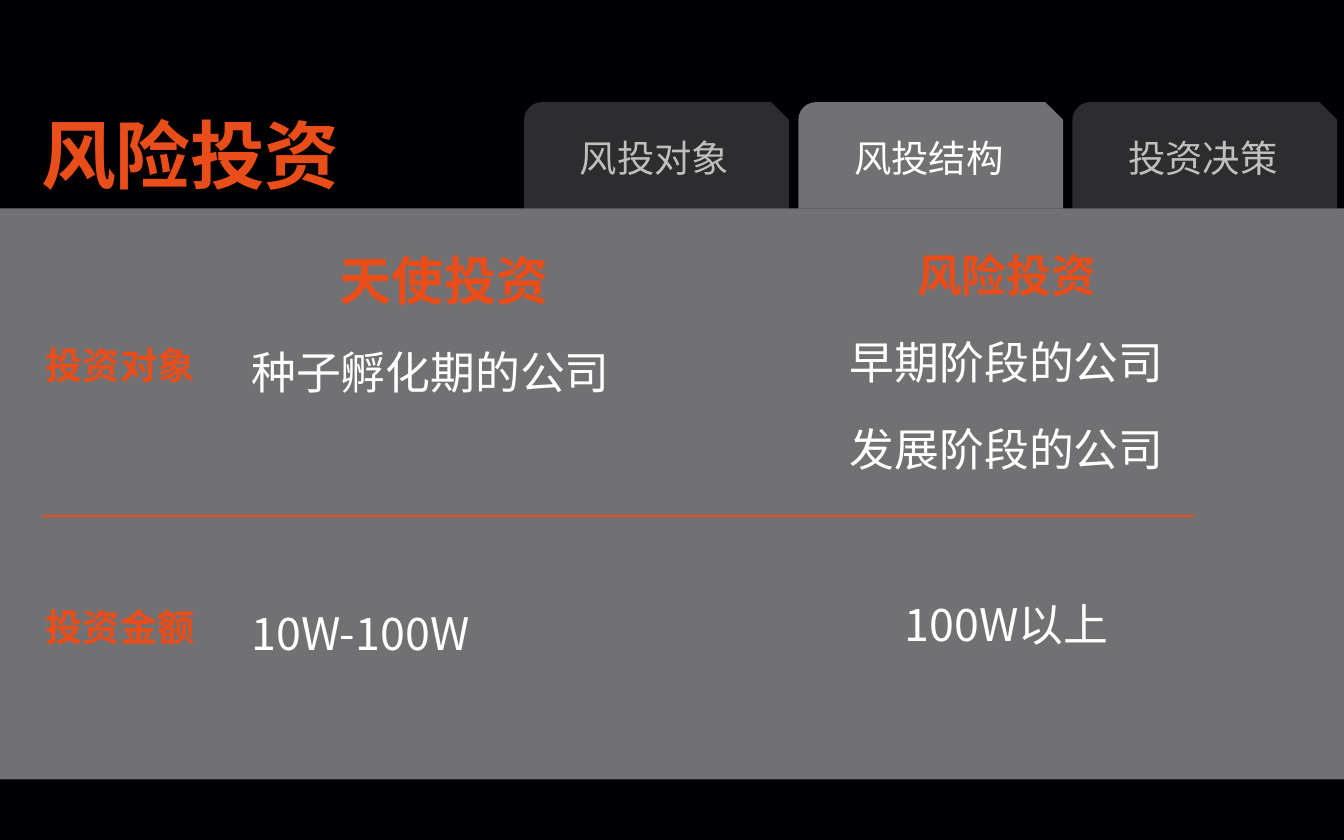
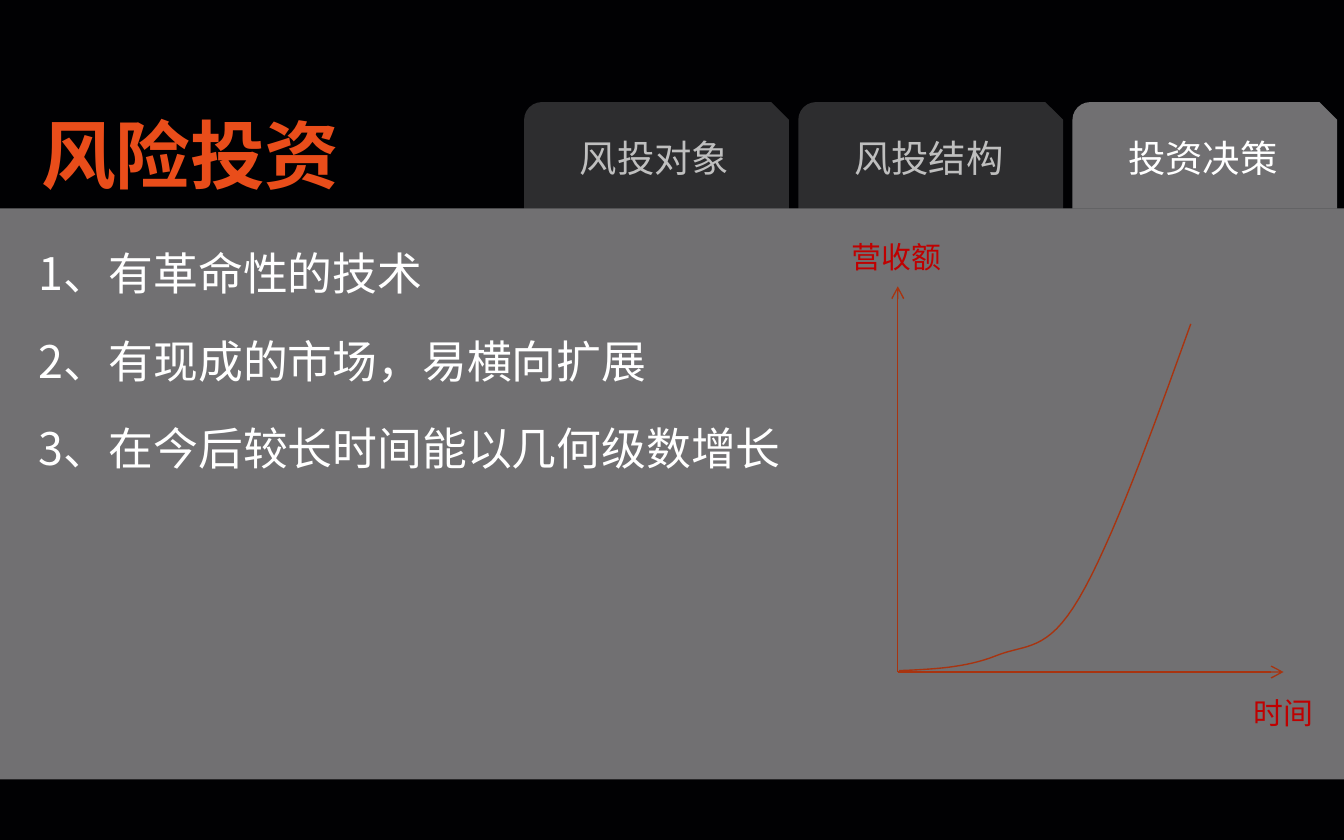
from dataclasses import dataclass

from lxml import etree
from pptx import Presentation
from pptx.dml.color import RGBColor
from pptx.enum.shapes import MSO_CONNECTOR, MSO_SHAPE
from pptx.enum.text import MSO_ANCHOR, MSO_AUTO_SIZE, PP_ALIGN
from pptx.oxml.ns import qn
from pptx.util import Inches, Pt

LEFT, CENTER = PP_ALIGN.LEFT, PP_ALIGN.CENTER
TOP, MIDDLE = MSO_ANCHOR.TOP, MSO_ANCHOR.MIDDLE
RECTANGLE, TAB = MSO_SHAPE.RECTANGLE, MSO_SHAPE.SNIP_ROUND_RECTANGLE
STRAIGHT = MSO_CONNECTOR.STRAIGHT
NO_AUTOFIT = MSO_AUTO_SIZE.NONE


@dataclass(frozen=True)
class Theme:
    font: str = "Noto Sans CJK SC"
    background: str = "010103"
    panel: str = "E1E0E2"
    accent: str = "E94D1A"
    text: str = "FFFFFF"
    muted: str = "BFBFBF"
    chart_line: str = "A83410"
    chart_label: str = "C00000"
    title_size: int = 40
    heading_size: int = 28
    body_size: int = 24
    label_size: int = 20
    axis_size: int = 16
    paragraph_gap: int = 18
    active_opacity: int = 50
    idle_opacity: int = 20


THEME = Theme()
WIDTH, HEIGHT = Inches(10), Inches(6.25)
UNIT = WIDTH // 10  # the grid is ten square columns wide

TITLE = "风险投资"
TABS = ("风投对象", "风投结构", "投资决策")
TAB_LEFT, TAB_STEP, TAB_WIDTH = 3.9, 2.04, 1.97
HEADER_TOP, HEADER_HEIGHT = 0.76, 0.79
BAND_TOP, BAND_HEIGHT = 1.55, 4.25
TWO_LISTS, TITLE_AND_LIST = 3, 1  # layout numbers in the template

ORIGIN = (6.68, 5)
AXIS_LENGTH = 2.87
CURVE_START = (6.69, 4.99)
CURVE_SEGMENTS = (
    ((6.94, 4.98), (7.18, 4.97), (7.41, 4.88)),
    ((7.63, 4.79), (7.79, 4.86), (8.03, 4.45)),
    ((8.27, 4.04), (8.57, 3.22), (8.86, 2.41)),
)


def grid(*values):
    return [round(value * UNIT) for value in values]


def rgb(color):
    return RGBColor.from_string(color)


def write(frame, text, size=THEME.body_size, color=THEME.text, bold=False,
          align=LEFT, before=0):
    """Fill the empty first paragraph, or append one, without a bullet."""
    paragraph = frame.paragraphs[0]
    if paragraph.runs:
        paragraph = frame.add_paragraph()
    properties = paragraph._p.get_or_add_pPr()
    properties.set("marL", "0")
    properties.set("indent", "0")
    etree.SubElement(properties, qn("a:buNone"))
    paragraph.alignment = align
    paragraph.space_before = Pt(before)
    run = paragraph.add_run()
    run.text = text
    font = run.font
    font.name, font.size, font.bold = THEME.font, Pt(size), bold
    font.color.rgb = rgb(color)
    east_asian = etree.SubElement(run._r.get_or_add_rPr(), qn("a:ea"))
    east_asian.set("typeface", THEME.font)


def place(placeholder, left, top, width, height):
    """Move a placeholder on the grid and return its prepared text frame."""
    placeholder.left, placeholder.top, placeholder.width, placeholder.height = grid(
        left, top, width, height)
    frame = placeholder.text_frame
    frame.auto_size, frame.word_wrap, frame.vertical_anchor = NO_AUTOFIT, True, TOP
    return frame


def add_panel(slide, kind, left, top, width, height, opacity):
    shape = slide.shapes.add_shape(kind, *grid(left, top, width, height))
    shape.shadow.inherit = False
    shape.line.fill.background()
    shape.fill.solid()
    shape.fill.fore_color.rgb = rgb(THEME.panel)
    color = shape._element.spPr.find(".//" + qn("a:srgbClr"))
    etree.SubElement(color, qn("a:alpha")).set("val", str(opacity * 1000))
    return shape


def add_label(slide, text, left, top, width, height, **text_format):
    box = slide.shapes.add_textbox(*grid(left, top, width, height))
    box.text_frame.word_wrap = False
    write(box.text_frame, text, **text_format)


def add_line(slide, start, end, color, weight, arrow=False):
    line = slide.shapes.add_connector(STRAIGHT, *grid(*start, *end))
    line.line.color.rgb = rgb(color)
    line.line.width = Pt(weight)
    if arrow:
        etree.SubElement(line.line._get_or_add_ln(), qn("a:tailEnd")).set("type", "arrow")
    etree.SubElement(line._element.spPr, qn("a:effectLst"))


def bezier_points(start, segments, steps=16):
    """Sample a chain of cubic curves, leaving out the start point."""
    points = []
    for first, second, end in segments:
        for step in range(1, steps + 1):
            t = step / steps
            u = 1 - t
            points.append(tuple(
                u**3 * a + 3 * u * u * t * b + 3 * u * t * t * c + t**3 * d
                for a, b, c, d in zip(start, first, second, end)))
        start = end
    return points


def add_growth_curve(slide):
    points = [grid(*point) for point in bezier_points(CURVE_START, CURVE_SEGMENTS)]
    builder = slide.shapes.build_freeform(*grid(*CURVE_START))
    builder.add_line_segments(points, close=False)
    curve = builder.convert_to_shape()
    curve.shadow.inherit = False
    curve.fill.background()
    curve.line.color.rgb = rgb(THEME.chart_line)
    curve.line.width = Pt(0.75)


def add_tabbed_slide(presentation, layout, active_tab):
    slide = presentation.slides.add_slide(presentation.slide_layouts[layout])
    band = add_panel(slide, RECTANGLE, 0, BAND_TOP, 10, BAND_HEIGHT, THEME.active_opacity)
    slide.shapes._spTree.insert(2, band._element)  # behind the placeholders
    title = place(slide.shapes.title, 0.19, HEADER_TOP, 2.45, 0.77)
    title.word_wrap = False
    write(title, TITLE, size=THEME.title_size, color=THEME.accent, bold=True, align=CENTER)
    for number, name in enumerate(TABS):
        active = name == active_tab
        tab = add_panel(slide, TAB, TAB_LEFT + number * TAB_STEP, HEADER_TOP,
                        TAB_WIDTH, HEADER_HEIGHT,
                        THEME.active_opacity if active else THEME.idle_opacity)
        tab.text_frame.vertical_anchor = MIDDLE
        write(tab.text_frame, name, size=THEME.label_size, align=CENTER,
              color=THEME.text if active else THEME.muted)
    return slide


def fill_column(frame, heading, heading_size, items, align):
    """Write a heading and its (text, space before) items."""
    write(frame, heading, size=heading_size, color=THEME.accent, bold=True, align=CENTER)
    for text, before in items:
        write(frame, text, align=align, before=before)


def build_structure_slide(presentation):
    slide = add_tabbed_slide(presentation, TWO_LISTS, "风投结构")
    gap = THEME.paragraph_gap
    angel = place(slide.placeholders[1], 1.77, 1.8, 3.07, 3.2)
    fill_column(angel, "天使投资", THEME.heading_size,
                (("种子孵化期的公司", gap), ("10W-100W", 111)), LEFT)
    venture = place(slide.placeholders[2], 5.39, 1.79, 4.2, 3.13)
    fill_column(venture, "风险投资", THEME.body_size,
                (("早期阶段的公司", gap), ("发展阶段的公司", gap), ("100W以上", 65)), CENTER)
    for text, top in (("投资对象", 2.5), ("投资金额", 4.45)):
        add_label(slide, text, 0.24, top, 1.32, 0.44,
                  size=THEME.label_size, color=THEME.accent, bold=True)
    add_line(slide, (0.31, 3.84), (8.89, 3.84), THEME.accent, 1.5)


def build_decision_slide(presentation):
    slide = add_tabbed_slide(presentation, TITLE_AND_LIST, "投资决策")
    criteria = place(slide.placeholders[1], 0.19, 1.78, 6, 2)
    for number, text in enumerate((
            "1、有革命性的技术",
            "2、有现成的市场，易横向扩展",
            "3、在今后较长时间能以几何级数增长")):
        write(criteria, text, before=THEME.paragraph_gap if number else 0)
    x, y = ORIGIN
    for end in ((x + AXIS_LENGTH, y), (x, y - AXIS_LENGTH)):
        add_line(slide, ORIGIN, end, THEME.chart_line, 0.75, arrow=True)
    add_growth_curve(slide)
    for text, left, top, width in (("时间", 9.23, 5.12, 0.65), ("营收额", 6.24, 1.73, 0.88)):
        add_label(slide, text, left, top, width, 0.37,
                  size=THEME.axis_size, color=THEME.chart_label)


def main():
    presentation = Presentation()
    presentation.slide_width, presentation.slide_height = WIDTH, HEIGHT
    background = presentation.slide_master.background.fill
    background.solid()
    background.fore_color.rgb = rgb(THEME.background)
    build_structure_slide(presentation)
    build_decision_slide(presentation)
    presentation.save("out.pptx")


if __name__ == "__main__":
    main()
